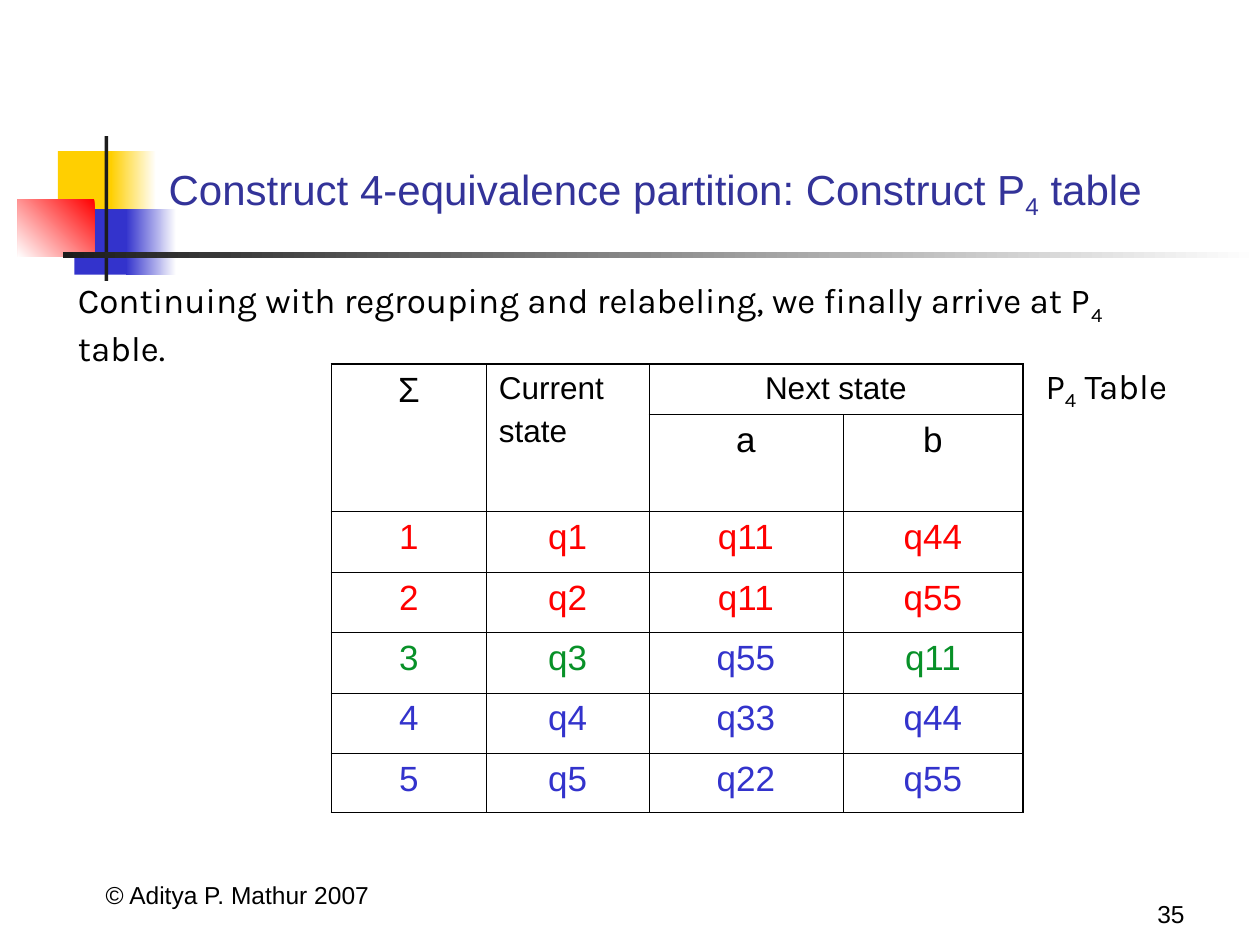
from lxml import etree
from pptx import Presentation
from pptx.dml.color import RGBColor
from pptx.enum.shapes import MSO_SHAPE
from pptx.enum.text import MSO_ANCHOR, PP_ALIGN
from pptx.oxml.ns import qn
from pptx.util import Inches, Pt

RECTANGLE = MSO_SHAPE.RECTANGLE
TOP, BOTTOM = MSO_ANCHOR.TOP, MSO_ANCHOR.BOTTOM
LEFT, CENTER, RIGHT = PP_ALIGN.LEFT, PP_ALIGN.CENTER, PP_ALIGN.RIGHT
BLACK, WHITE, CHARCOAL = "000000", "FFFFFF", "1C1C1C"
YELLOW, RED, GREEN, BLUE, TITLE_BLUE = "FFCF01", "FF0000", "089128", "3333CC", "333399"

rgb = RGBColor.from_string

prs = Presentation()
prs.slide_width, prs.slide_height = Inches(10), Inches(7.5)
slide = prs.slides.add_slide(prs.slide_layouts[6])


def style(paragraph, size, font_name, colour, align):
    paragraph.alignment = align
    paragraph.font.size = Pt(size)
    paragraph.font.name = font_name
    paragraph.font.color.rgb = rgb(colour)


def add_text(box, parts, size, font_name, colour=BLACK, align=LEFT, anchor=TOP):
    frame = slide.shapes.add_textbox(*[Inches(v) for v in box]).text_frame
    frame.word_wrap = True
    frame.vertical_anchor = anchor
    line = frame.paragraphs[0]
    style(line, size, font_name, colour, align)
    for position, part in enumerate(parts):
        run = line.add_run()
        run.text = part
        if position == 1:
            run._r.get_or_add_rPr().set("baseline", "-25000")


ornaments = [
    ((0.46, 1.2, 0.48, 0.52), [YELLOW], 0),
    ((0.88, 1.2, 0.36, 0.52), [WHITE, YELLOW], 180),
    ((0.59, 1.66, 0.46, 0.52), [BLUE], 0),
    ((1, 1.66, 0.4, 0.52), [WHITE, BLUE], 180),
    ((0.14, 1.58, 0.61, 0.46), [RED, WHITE], 225),
    ((0.83, 1.08, 0.03, 1.15), [CHARCOAL], 0),
    ((0.5, 2, 9.5, 0.05), [WHITE, CHARCOAL], 180),
]
for box, colours, angle in ornaments:
    ornament = slide.shapes.add_shape(RECTANGLE, *[Inches(v) for v in box])
    ornament.shadow.inherit = False
    ornament.line.fill.background()
    if len(colours) == 1:
        ornament.fill.solid()
        ornament.fill.fore_color.rgb = rgb(colours[0])
    else:
        ornament.fill.gradient()
        ornament.fill.gradient_angle = angle
        for stop, colour in zip(ornament.fill.gradient_stops, colours):
            stop.color.rgb = rgb(colour)

add_text((0.3, 6.77, 3.17, 0.5), ["© Aditya P. Mathur 2007"], 14, "Arial", align=CENTER, anchor=BOTTOM)
add_text((7.42, 6.92, 2.08, 0.5), ["35"], 14, "Arial", align=RIGHT, anchor=BOTTOM)
add_text((1.24, 0.92, 8.52, 0.88),
         ["Construct 4-equivalence partition: Construct P", "4", " table"],
         24, "Arial", TITLE_BLUE, anchor=BOTTOM)
add_text((0.52, 2.16, 8.83, 0.82),
         ["Continuing with regrouping and relabeling, we finally arrive at P", "4", " table."],
         20, "Karla")

column_widths = [1.23, 1.29, 1.54, 1.43]
row_heights = [0.4, 0.77, 0.48, 0.48, 0.48, 0.48, 0.47]
rows = [
    ["Σ", "Current\nstate", "Next state", ""],
    ["", "", "a", "b"],
    ["1", "q1", "q11", "q44"],
    ["2", "q2", "q11", "q55"],
    ["3", "q3", "q55", "q11"],
    ["4", "q4", "q33", "q44"],
    ["5", "q5", "q22", "q55"],
]
row_colours = [BLACK, BLACK, RED, RED, GREEN, BLUE, BLUE]

partition = slide.shapes.add_table(
    len(rows), len(column_widths), Inches(2.63), Inches(2.89),
    Inches(sum(column_widths)), Inches(sum(row_heights))).table
partition.first_row = False
partition.horz_banding = False
for column, width in zip(partition.columns, column_widths):
    column.width = Inches(width)
for row, height in zip(partition.rows, row_heights):
    row.height = Inches(height)
for first, last in [((0, 0), (1, 0)), ((0, 1), (1, 1)), ((0, 2), (0, 3))]:
    partition.cell(*first).merge(partition.cell(*last))

for r, texts in enumerate(rows):
    for c, text in enumerate(texts):
        cell = partition.cell(r, c)
        last_column = c + cell.span_width == len(texts)
        last_row = r + cell.span_height == len(rows)
        outer_edges = {"a:lnL": c == 0, "a:lnR": last_column, "a:lnT": r == 0, "a:lnB": last_row}
        for tag, is_outer in outer_edges.items():
            edge = etree.SubElement(cell._tc.get_or_add_tcPr(), qn(tag),
                                    w=str(Pt(1.08 if is_outer else 0.45)))
            edge_fill = etree.SubElement(edge, qn("a:solidFill"))
            etree.SubElement(edge_fill, qn("a:srgbClr"), val=BLACK)
        cell.fill.background()
        if not text:
            continue
        cell.text = text
        colour = BLUE if (r, c) == (4, 2) else row_colours[r]
        size = 18 if r == 0 and c > 0 else 20
        align = LEFT if (r, c) == (0, 1) else CENTER
        for position, line in enumerate(cell.text_frame.paragraphs):
            if position:
                line.space_before = Pt(4.5)
            style(line, size, "Arial", colour, align)

add_text((8.2, 2.84, 1.35, 0.48), ["P", "4", " Table"], 20, "Karla")

prs.save("out.pptx")
